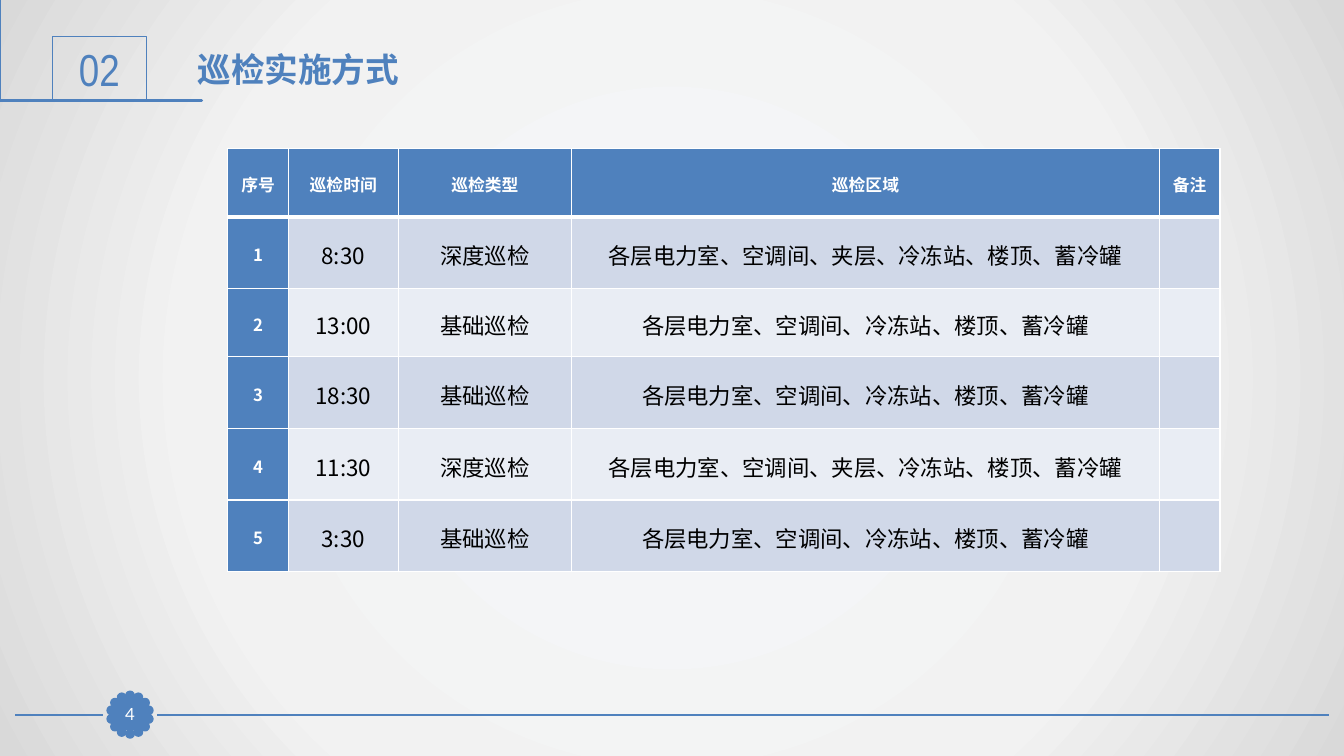
"""Build the slide on how inspections are carried out."""
from dataclasses import dataclass
from math import cos, pi, sin

from lxml.etree import SubElement
from pptx import Presentation
from pptx.dml.color import RGBColor
from pptx.enum.shapes import MSO_CONNECTOR as Connector, MSO_SHAPE as Preset
from pptx.enum.text import MSO_ANCHOR as Anchor, PP_ALIGN as Align
from pptx.oxml import parse_xml
from pptx.oxml.ns import nsdecls, qn
from pptx.util import Inches, Pt


@dataclass(frozen=True)
class Theme:
    blue: str = "4F81BD"
    white: str = "FFFFFF"
    black: str = "000000"
    bands: tuple = ("D0D8E8", "E9EDF4")
    backdrop: tuple = ((0, "F6F9FC"), (63, "F2F2F2"), (100, "D9D9D9"))
    number_font: str = "Arial Narrow"
    body_font: str = "Lato"
    table_font: str = "Noto Sans CJK SC"
    section_size: int = 32
    title_size: int = 24
    cell_size: int = 16
    small_size: int = 12


theme = Theme()


def write(frame, text, font, size, color, bold=False, align=Align.CENTER):
    """Fill a text frame with one styled paragraph and return it."""
    frame.word_wrap = True
    paragraph = frame.paragraphs[0]
    paragraph.text = text
    paragraph.alignment = align
    paragraph.font.name = font
    paragraph.font.size = Pt(size)
    paragraph.font.bold = bold
    paragraph.font.color.rgb = RGBColor.from_string(color)
    properties = paragraph._p.get_or_add_pPr().get_or_add_defRPr()
    SubElement(properties, qn("a:ea"), typeface=theme.table_font)
    return paragraph


def paint(shape, filled=True, line_width=2):
    """Give a shape the blue outline and, if wanted, the blue fill."""
    shape.shadow.inherit = False
    if filled:
        shape.fill.solid()
        shape.fill.fore_color.rgb = RGBColor.from_string(theme.blue)
    else:
        shape.fill.background()
    shape.line.color.rgb = RGBColor.from_string(theme.blue)
    shape.line.width = Pt(line_width)


presentation = Presentation()
presentation.slide_width = Inches(13.33)
presentation.slide_height = Inches(7.5)
slide = presentation.slides.add_slide(presentation.slide_layouts[6])
shapes = slide.shapes

slide.background.fill.gradient()
stops = "".join(
    f'<a:gs pos="{position * 1000}"><a:srgbClr val="{color}"/></a:gs>'
    for position, color in theme.backdrop
)
gradient = slide.background._cSld.find(".//" + qn("a:gradFill"))
gradient.getparent().replace(gradient, parse_xml(
    f'<a:gradFill {nsdecls("a")} rotWithShape="1"><a:gsLst>{stops}</a:gsLst>'
    '<a:path path="circle"><a:fillToRect l="50000" t="50000" r="50000" b="50000"/></a:path>'
    '</a:gradFill>'
))

footer_y = 7.09
for start, end in ((0.15, 1.02), (1.56, 13.18)):
    line = shapes.add_connector(
        Connector.STRAIGHT, Inches(start), Inches(footer_y), Inches(end), Inches(footer_y)
    )
    line.line.color.rgb = RGBColor.from_string(theme.blue)
    line.line.width = Pt(1.25)
    SubElement(line._element.spPr, qn("a:effectLst"))

badge_x, badge_radius, petal_size, petal_count = 1.29, 0.19, 0.07, 14
for index in range(petal_count):
    angle = 2 * pi * index / petal_count
    petal = shapes.add_shape(
        Preset.OVAL,
        Inches(badge_x + badge_radius * sin(angle) - petal_size / 2),
        Inches(footer_y - badge_radius * cos(angle) - petal_size / 2),
        Inches(petal_size), Inches(petal_size),
    )
    paint(petal)

page_number = shapes.add_shape(
    Preset.RECTANGLE, Inches(1.13), Inches(6.93), Inches(0.32), Inches(0.31)
)
paint(page_number, line_width=0.75)
frame = page_number.text_frame
frame.margin_left = frame.margin_right = frame.margin_top = frame.margin_bottom = 0
frame.vertical_anchor = Anchor.MIDDLE
write(frame, "4", theme.body_font, theme.small_size, theme.white)

ribbon_points = (
    (0.38, 0.46), (0.38, 0.92), (1.71, 0.92), (1.71, 0.94), (0.36, 0.94), (0.36, 0.48),
    (0.31, 0.48), (0.31, 0.94), (0.19, 0.94), (0.19, 0.46), (0.23, 0.46), (0.23, 0.91),
    (0.28, 0.91), (0.28, 0.46),
)
builder = shapes.build_freeform(*ribbon_points[0], scale=Inches(1))
builder.add_line_segments(ribbon_points[1:], close=True)
paint(builder.convert_to_shape())

section = shapes.add_shape(
    Preset.RECTANGLE, Inches(0.52), Inches(0.36), Inches(0.93), Inches(0.64)
)
paint(section, filled=False, line_width=0.75)
section.text_frame.vertical_anchor = Anchor.MIDDLE
write(section.text_frame, "02", theme.number_font, theme.section_size, theme.blue)

title = shapes.add_textbox(Inches(1.86), Inches(0.44), Inches(9.69), Inches(0.5))
write(title.text_frame, "巡检实施方式", theme.body_font, theme.title_size, theme.blue,
      bold=True, align=Align.LEFT)

deep = ("深度巡检", "各层电力室、空调间、夹层、冷冻站、楼顶、蓄冷罐")
basic = ("基础巡检", "各层电力室、空调间、冷冻站、楼顶、蓄冷罐")
rounds = (("8:30", deep), ("13:00", basic), ("18:30", basic), ("11:30", deep), ("3:30", basic))
rows = [("序号", "巡检时间", "巡检类型", "巡检区域", "备注")]
rows += [(str(number), time, *kind, "") for number, (time, kind) in enumerate(rounds, 1)]
column_widths = (0.6, 1.09, 1.72, 5.83, 0.6)
row_heights = (0.68, 0.71, 0.68, 0.71, 0.71, 0.71)

table = shapes.add_table(
    len(rows), len(column_widths), Inches(2.26), Inches(1.47),
    Inches(sum(column_widths)), Inches(sum(row_heights)),
).table
for column, width in zip(table.columns, column_widths):
    column.width = Inches(width)
for row, height in zip(table.rows, row_heights):
    row.height = Inches(height)

for row_index, row in enumerate(rows):
    for column_index, text in enumerate(row):
        cell = table.cell(row_index, column_index)
        heading = row_index == 0 or column_index == 0
        for side in "LRTB":
            thick = (row_index, side) in ((0, "B"), (1, "T"))
            border = SubElement(cell._tc.get_or_add_tcPr(), qn(f"a:ln{side}"),
                                w=str(Pt(3 if thick else 1)))
            SubElement(SubElement(border, qn("a:solidFill")), qn("a:srgbClr"), val=theme.white)
        cell.fill.solid()
        cell.fill.fore_color.rgb = RGBColor.from_string(
            theme.blue if heading else theme.bands[(row_index - 1) % 2]
        )
        cell.margin_left = cell.margin_right = Inches(0.07)
        cell.margin_top = cell.margin_bottom = 0
        cell.vertical_anchor = Anchor.MIDDLE
        if text:
            paragraph = write(
                cell.text_frame, text, theme.table_font,
                theme.small_size if heading else theme.cell_size,
                theme.white if heading else theme.black, bold=heading,
            )
            paragraph.line_spacing = 1.15

presentation.save("out.pptx")
